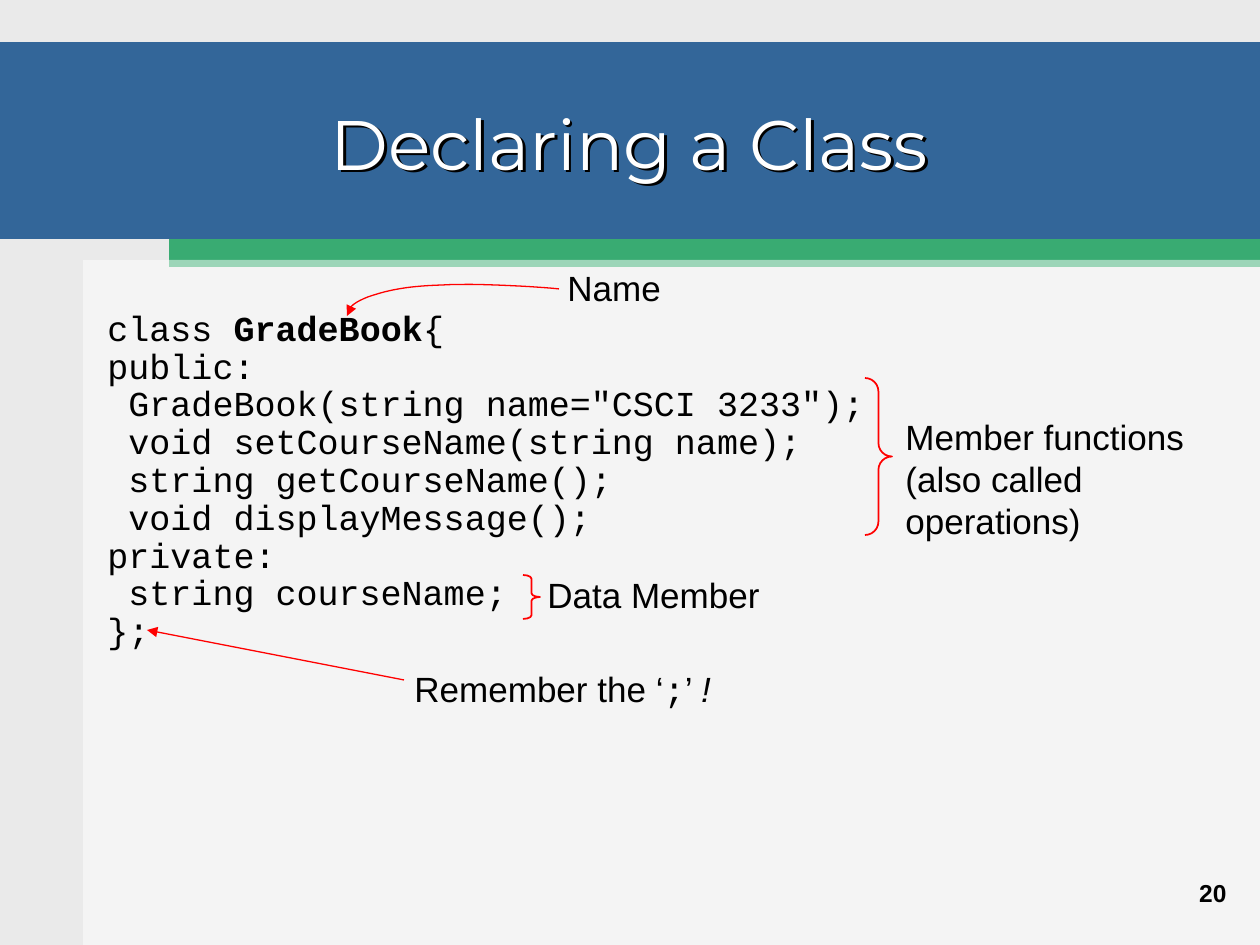
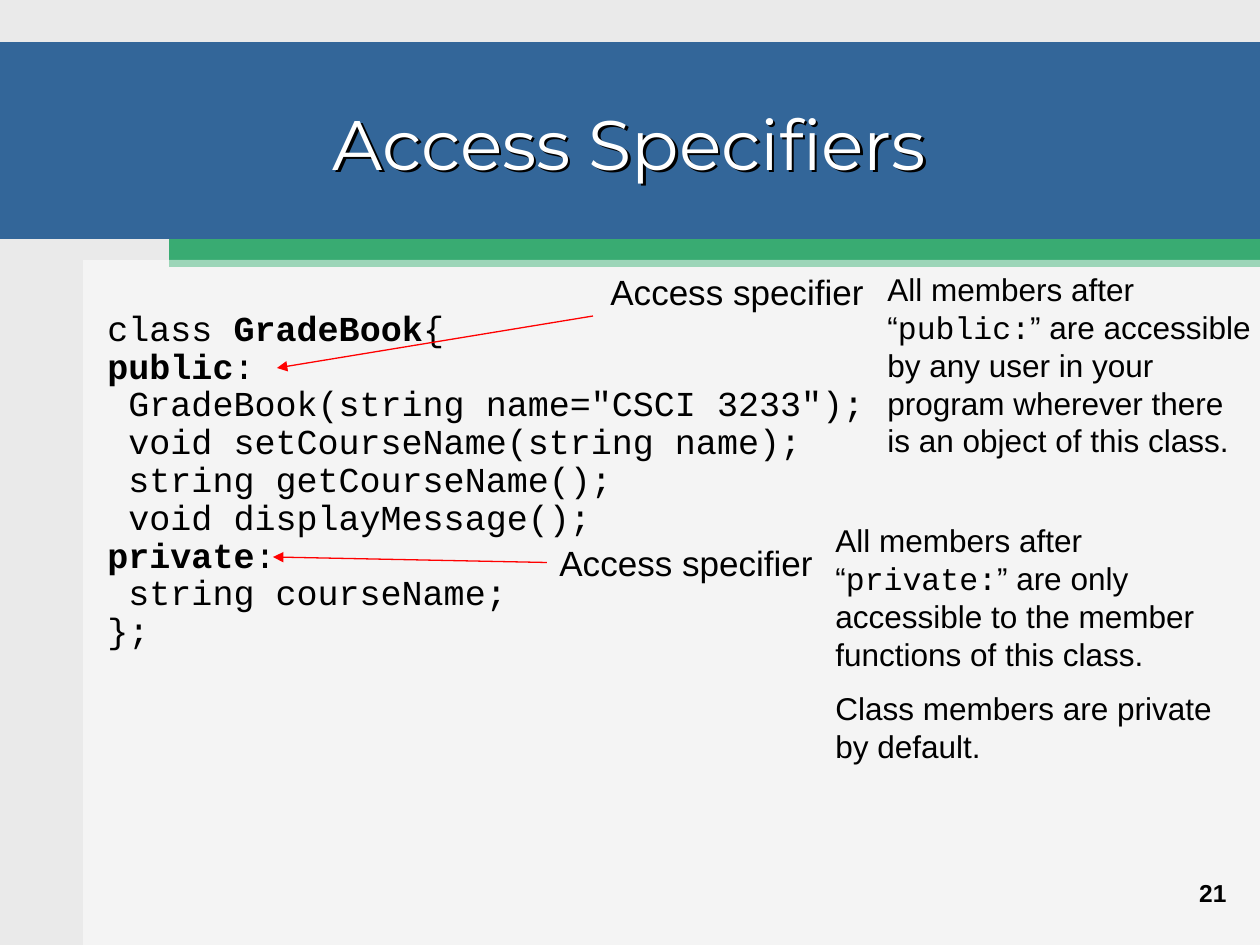
"""Build two slides that explain a class declaration and its access specifiers."""
from dataclasses import dataclass

from lxml.etree import SubElement
from pptx import Presentation
from pptx.dml.color import RGBColor
from pptx.enum.shapes import MSO_CONNECTOR as Line, MSO_SHAPE as Shape
from pptx.enum.text import MSO_ANCHOR as Anchor, MSO_AUTO_SIZE as Fit, PP_ALIGN as Align
from pptx.oxml import parse_xml
from pptx.oxml.ns import nsdecls, qn
from pptx.util import Pt

PX = 914400 / 126


@dataclass(frozen=True)
class Theme:
    page: str = "EAEAEA"
    blue: str = "336699"
    green: str = "39AB72"
    white: str = "FFFFFF"
    ink: str = "000000"
    mark: str = "FF0000"
    title_font: str = "Montserrat"
    text_font: str = "Arial"
    code_font: str = "Courier New"
    title_size: int = 40
    label_size: int = 20
    note_size: int = 18
    number_size: int = 14
    arrow_width: float = 0.75
    brace_width: float = 1


THEME = Theme()
MONO = {"font": THEME.code_font}
BOLD = {"bold": True}
ITALIC = {"italic": True}

PAGE_SIZE = (1260, 945)
TITLE_AREA = (29, 63, 1201, 158)
NUMBER_AREA = (977, 872, 262, 63)
CODE_AREA = (95, 305, 1113, 577)
BANDS = [
    ((169, 238, 1091, 29), THEME.green, 100),
    ((0, 42, 1260, 197), THEME.blue, 100),
    ((83, 260, 1177, 685), THEME.white, 50),
]


def code_lines(access):
    """Return the class declaration, with the given format on the access words."""
    return [
        ["class ", ("GradeBook", BOLD), "{"],
        [("public", access), ":"],
        [' GradeBook(string name="CSCI 3233");'],
        [" void setCourseName(string name);"],
        [" string getCourseName();"],
        [" void displayMessage();"],
        [("private", access), ":"],
        [" string courseName;"],
        ["};"],
    ]


SLIDES = [
    {
        "title": "Declaring a Class",
        "number": "20",
        "code": code_lines({}),
        "labels": [
            ((555, 260, 130, 55), [["Name"]]),
            ((535, 567, 250, 55), [["Data Member"]]),
            ((402, 661, 340, 55),
             [["Remember the ‘", (";", MONO), "’ ", ("!", ITALIC)]]),
            ((893, 409, 320, 139),
             [["Member functions"], ["(also called"], ["operations)"]]),
        ],
        "braces": [((523, 575, 17, 44), 0.22), ((865, 378, 27, 157), 0.5)],
        "arrows": [((404, 680), (147, 630), None)],
        "curve": [
            (559, 289), (541, 287), (476, 283), (444, 285), (411, 286),
            (391, 289), (368, 297), (345, 306), (350, 312), (347, 316),
        ],
    },
    {
        "title": "Access Specifiers",
        "number": "21",
        "code": code_lines(BOLD),
        "labels": [
            ((598, 264, 290, 55), [["Access specifier"]]),
            ((547, 535, 290, 55), [["Access specifier"]]),
        ],
        "notes": [
            ((875, 264, 408, 202),
             [["All members after “", ("public:", MONO),
               "” are accessible by any user in your program wherever there ",
               "\n", "is an object of this class."]]),
            ((823, 515, 408, 164),
             [["All members after “", ("private:", MONO),
               "” are only accessible to the member functions of this class."]]),
            ((823, 683, 408, 88), [["Class members are private by default."]]),
        ],
        "arrows": [((593, 316), (277, 368), None), ((547, 563), (273, 557), 1)],
    },
]


def emu(values):
    """Turn px lengths into EMU."""
    return [round(value * PX) for value in values]


def color(value):
    """Return a colour object for a hex value."""
    return RGBColor.from_string(value)


def write(frame, paragraphs, size, font=THEME.text_font, ink=THEME.ink,
          bold=False, align=Align.LEFT, spacing=None):
    """Fill a text frame with paragraphs of plain or formatted spans."""
    for index, spans in enumerate(paragraphs):
        para = frame.add_paragraph() if index else frame.paragraphs[0]
        para.alignment = align
        para.line_spacing = spacing
        for item in spans:
            if item == "\n":
                para.add_line_break()
                continue
            text, style = (item, {}) if isinstance(item, str) else item
            span = para.add_run()
            span.text = text
            span.font.size = Pt(size)
            span.font.color.rgb = color(ink)
            span.font.name = style.get("font", font)
            span.font.bold = style.get("bold", bold)
            span.font.italic = style.get("italic", False)


def add_text(page, area, paragraphs, size, **style):
    """Add a text box and return it."""
    box = page.shapes.add_textbox(*emu(area))
    box.text_frame.word_wrap = True
    box.text_frame.auto_size = Fit.NONE
    write(box.text_frame, paragraphs, size, **style)
    return box


def add_band(page, area, fill, opacity):
    """Add a plain rectangle of the slide frame."""
    band = page.shapes.add_shape(Shape.RECTANGLE, *emu(area))
    band.shadow.inherit = False
    band.line.fill.background()
    band.fill.solid()
    band.fill.fore_color.rgb = color(fill)
    if opacity < 100:
        tint = band.fill._xPr.find(qn("a:solidFill"))[0]
        SubElement(tint, qn("a:alpha"), val=str(opacity * 1000))


def style_line(shape, width, arrow=False):
    """Give a shape the red marking line, with an arrowhead if asked."""
    shape.line.color.rgb = color(THEME.mark)
    shape.line.width = Pt(width)
    if arrow:
        SubElement(shape.line._get_or_add_ln(), qn("a:tailEnd"), type="triangle")


def add_arrow(page, start, end, box=None, side=None):
    """Add a straight arrow, joined to a box side if one is given."""
    arrow = page.shapes.add_connector(Line.STRAIGHT, *emu(start + end))
    if box is not None:
        arrow.begin_connect(box, side)
    style_line(arrow, THEME.arrow_width, arrow=True)
    SubElement(arrow._element.spPr, qn("a:effectLst"))


def add_brace(page, area, bend):
    """Add a right brace."""
    brace = page.shapes.add_shape(Shape.RIGHT_BRACE, *emu(area))
    brace.adjustments[0] = bend
    brace.shadow.inherit = False
    brace.fill.background()
    style_line(brace, THEME.brace_width)


def bezier(points, steps=16):
    """Yield points along a chain of cubic curves."""
    for first in range(0, len(points) - 1, 3):
        controls = points[first:first + 4]
        for step in range(1, steps + 1):
            t = step / steps
            weights = ((1 - t) ** 3, 3 * t * (1 - t) ** 2, 3 * t * t * (1 - t), t ** 3)
            yield tuple(sum(w * point[axis] for w, point in zip(weights, controls))
                        for axis in (0, 1))


def add_curve(page, points):
    """Add a curved arrow."""
    builder = page.shapes.build_freeform(*emu(points[0]))
    builder.add_line_segments([emu(point) for point in bezier(points)], close=False)
    curve = builder.convert_to_shape()
    curve.shadow.inherit = False
    curve.fill.background()
    style_line(curve, THEME.arrow_width, arrow=True)


def add_title(page, text):
    """Place the title above the bands and give it a hard shadow."""
    title = page.shapes.title
    page.shapes._spTree.append(title._element)
    title.left, title.top, title.width, title.height = emu(TITLE_AREA)
    frame = title.text_frame
    frame.auto_size = Fit.NONE
    frame.vertical_anchor = Anchor.MIDDLE
    write(frame, [[text]], THEME.title_size, font=THEME.title_font,
          ink=THEME.white, align=Align.CENTER)
    title.fill.background()
    title._element.spPr.append(parse_xml(
        f'<a:effectLst {nsdecls("a")}><a:outerShdw dist="25400" dir="2700000">'
        f'<a:srgbClr val="{THEME.ink}"/></a:outerShdw></a:effectLst>'))


def add_page(deck, content):
    """Add one slide with its frame, code and markings."""
    page = deck.slides.add_slide(deck.slide_layouts[5])
    for band in BANDS:
        add_band(page, *band)
    add_text(page, NUMBER_AREA, [[content["number"]]], THEME.number_size,
             bold=True, align=Align.RIGHT)
    add_title(page, content["title"])
    add_text(page, CODE_AREA, content["code"], THEME.label_size,
             font=THEME.code_font, spacing=0.9)
    labels = [add_text(page, area, text, THEME.label_size)
              for area, text in content["labels"]]
    for area, text in content.get("notes", []):
        add_text(page, area, text, THEME.note_size)
    for area, bend in content.get("braces", []):
        add_brace(page, area, bend)
    for start, end, label in content["arrows"]:
        add_arrow(page, start, end, None if label is None else labels[label], side=1)
    if "curve" in content:
        add_curve(page, content["curve"])


def main():
    """Build and save the deck."""
    deck = Presentation()
    deck.slide_width, deck.slide_height = emu(PAGE_SIZE)
    backdrop = deck.slide_master.background.fill
    backdrop.solid()
    backdrop.fore_color.rgb = color(THEME.page)
    for content in SLIDES:
        add_page(deck, content)
    deck.save("out.pptx")


if __name__ == "__main__":
    main()
